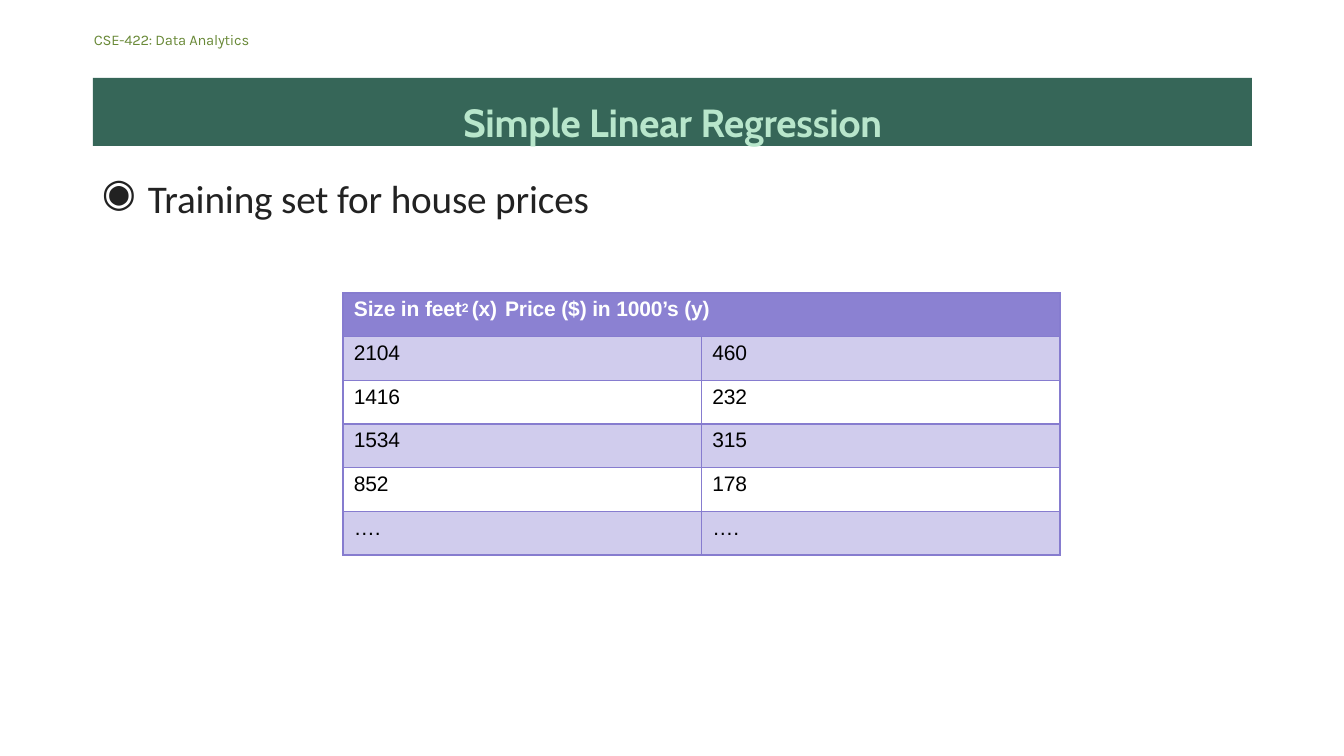
from lxml import etree
from pptx import Presentation
from pptx.dml.color import RGBColor
from pptx.enum.shapes import MSO_SHAPE
from pptx.enum.text import MSO_ANCHOR, MSO_AUTO_SIZE, PP_ALIGN
from pptx.oxml.ns import qn
from pptx.util import Pt

RECT = MSO_SHAPE.RECTANGLE
TOP = MSO_ANCHOR.TOP
GROW = MSO_AUTO_SIZE.SHAPE_TO_FIT_TEXT
CENTER = PP_ALIGN.CENTER

COLORS = {
    "banner": "366658",
    "title": "B8E6CB",
    "course": "698937",
    "body": "222222",
    "head": "8B81D2",
    "border": "867CCF",
    "white": "FFFFFF",
    "black": "000000",
}


def px(n):
    return round(n * 914400 / 100.8)


class Deck:
    def __init__(self, wide, high):
        self.prs = Presentation()
        self.prs.slide_width = px(wide)
        self.prs.slide_height = px(high)
        self.slide = self.prs.slides.add_slide(self.prs.slide_layouts[6])

    def color(self, name):
        return RGBColor.from_string(COLORS[name])

    def style(self, para, font, size, color, before, bold=False):
        para.space_before = Pt(before)
        for run in para.runs:
            run.font.name = font
            run.font.size = Pt(size)
            run.font.bold = bold
            run.font.color.rgb = self.color(color)
            run.font._element.set("spc", "-10")

    def frame(self, shape, inset):
        frame = shape.text_frame
        frame.margin_left = frame.margin_right = frame.margin_bottom = 0
        frame.margin_top = px(inset)
        frame.word_wrap = True
        frame.auto_size = GROW
        frame.vertical_anchor = TOP
        return frame

    def indent(self, para, left, first=0):
        props = para._p.get_or_add_pPr()
        props.set("marL", str(px(left)))
        props.set("indent", str(px(first)))
        return props

    def tab(self, props, pos):
        stops = etree.SubElement(props, qn("a:tabLst"))
        etree.SubElement(stops, qn("a:tab"), pos=str(px(pos)), algn="l")

    def banner(self, text, x, y, w, h):
        shape = self.slide.shapes.add_shape(RECT, px(x), px(y), px(w), px(h))
        shape.shadow.inherit = False
        shape.fill.solid()
        shape.fill.fore_color.rgb = self.color("banner")
        shape.line.fill.background()
        frame = self.frame(shape, 20)
        frame.text = text
        para = frame.paragraphs[0]
        para.alignment = CENTER
        self.style(para, "Cabin", 28, "title", 14.3, True)

    def text(self, text, x, y, w, h, font, size, color, bullet=None):
        box = self.slide.shapes.add_textbox(px(x), px(y), px(w), px(h))
        frame = self.frame(box, 1)
        frame.text = text
        para = frame.paragraphs[0]
        self.style(para, font, size, color, 1)
        if bullet:
            props = self.indent(para, 47, -46)
            etree.SubElement(props, qn("a:buChar"), char=bullet)
            self.tab(props, 47)
        else:
            self.indent(para, 1)

    def cell(self, cell, fill, alpha=100):
        cell.margin_left = cell.margin_right = cell.margin_bottom = 0
        cell.margin_top = px(5)
        cell.fill.solid()
        cell.fill.fore_color.rgb = self.color(fill)
        props = cell._tc.get_or_add_tcPr()
        if alpha < 100:
            tone = props.find(".//" + qn("a:srgbClr"))
            etree.SubElement(tone, qn("a:alpha"), val=str(alpha * 1000))
        for i, side in enumerate("LRTB"):
            line = etree.Element(qn("a:ln" + side), w=str(Pt(1)))
            solid = etree.SubElement(line, qn("a:solidFill"))
            etree.SubElement(solid, qn("a:srgbClr"), val=COLORS["border"])
            props.insert(i, line)

    def table(self, head, rows, x, y, w, h):
        table = self.slide.shapes.add_table(
            len(rows) + 1, 2, px(x), px(y), px(w), px(h)).table
        table.first_row = table.horz_banding = False
        for cell in table.rows[0].cells:
            self.cell(cell, "head")
        table.cell(0, 0).merge(table.cell(0, 1))
        para = table.cell(0, 0).text_frame.paragraphs[0]
        for part in head:
            para.add_run().text = part
        self.style(para, "Arial", 15, "white", 3.8, True)
        para.runs[1].font._element.set("baseline", "22000")
        self.tab(self.indent(para, 11), 369)
        for r, row in enumerate(rows, 1):
            for c, value in enumerate(row):
                cell = table.cell(r, c)
                if r % 2:
                    self.cell(cell, "head", 40)
                else:
                    self.cell(cell, "white")
                cell.text_frame.text = value
                para = cell.text_frame.paragraphs[0]
                self.style(para, "Arial", 15, "black", 3.8)
                self.indent(para, 11)


def main():
    deck = Deck(1344, 756)
    deck.banner("Simple Linear Regression", 93, 78, 1159, 68)
    deck.text("CSE-422: Data Analytics", 93, 30, 462, 19,
              "Karla", 10.5, "course")
    deck.text("Training set for house prices", 101, 173, 1142, 49,
              "Calibri", 28, "body", "◉")
    head = ["Size in feet", "2 ", "(x)\tPrice ($) in 1000’s (y)"]
    rows = [("2104", "460"), ("1416", "232"), ("1534", "315"),
            ("852", "178"), ("….", "….")]
    deck.table(head, rows, 343, 293, 717, 262)
    deck.prs.save("out.pptx")


if __name__ == "__main__":
    main()
